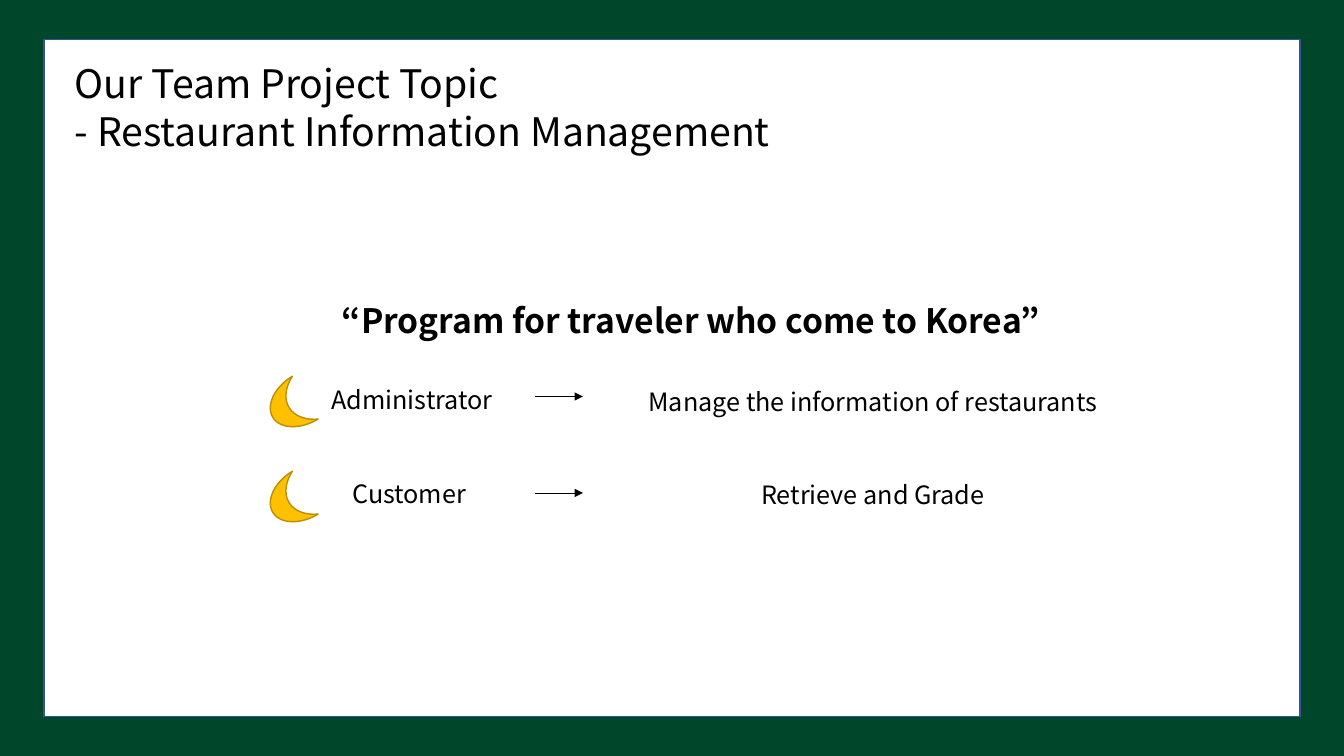
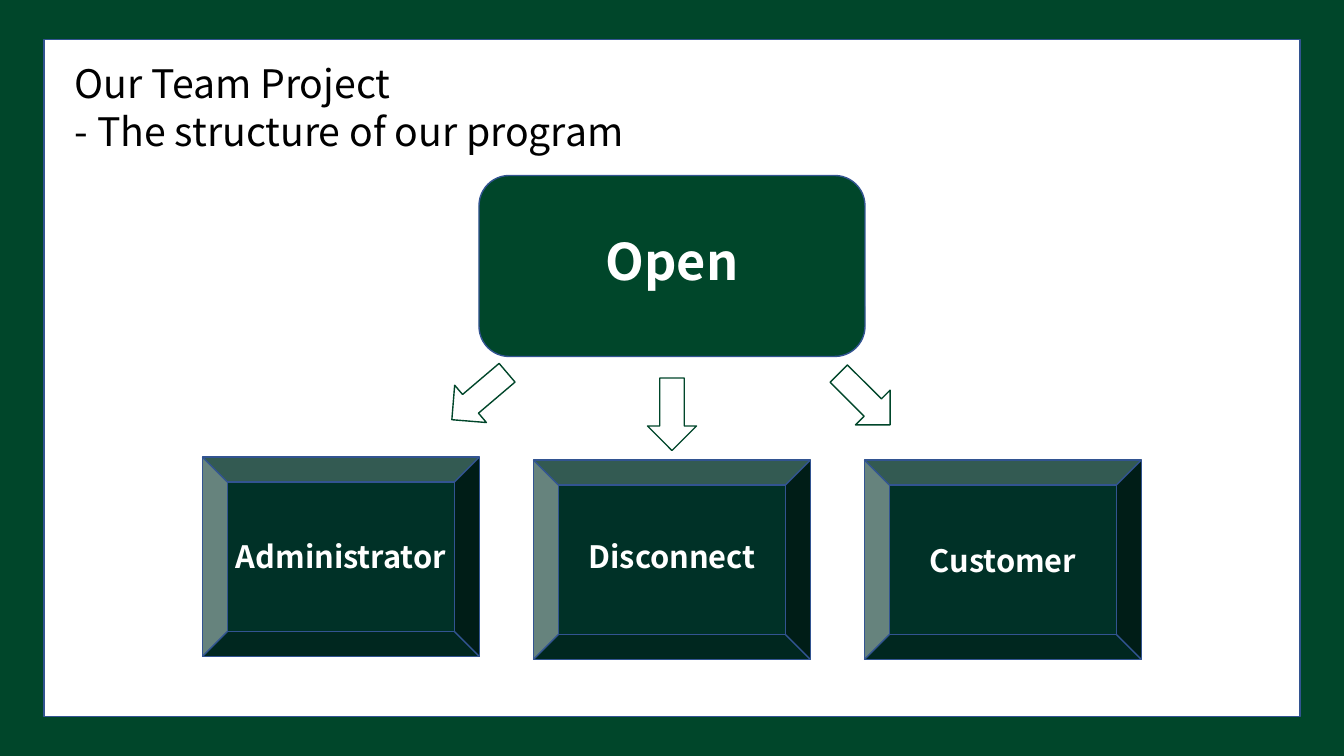
from lxml.etree import SubElement
from pptx import Presentation
from pptx.dml.color import RGBColor
from pptx.enum.shapes import MSO_CONNECTOR, MSO_SHAPE
from pptx.enum.text import PP_ALIGN
from pptx.oxml.ns import qn
from pptx.util import Emu, Pt

FONT = "Noto Sans CJK KR"
LINE_HEIGHT = 1.22
COLORS = {
    "green": "00462A",
    "dark_green": "003127",
    "outline": "325491",
    "white": "FFFFFF",
    "black": "000000",
    "yellow": "FFC000",
    "ochre": "BD8E00",
}


def px(pixels):
    """Turn slide pixels (100.8 to the inch) into EMU."""
    return Emu(round(pixels * 914400 / 100.8))


def rgb(name):
    """Look up a named colour."""
    return RGBColor.from_string(COLORS[name])


def add_block(slide, kind, box, fill, outline, rotation=0):
    """Add an outlined preset shape; a fill of None leaves it hollow."""
    block = slide.shapes.add_shape(kind, *map(px, box))
    block.shadow.inherit = False
    block.rotation = rotation
    if fill:
        block.fill.solid()
        block.fill.fore_color.rgb = rgb(fill)
    else:
        block.fill.background()
    block.line.color.rgb = rgb(outline)
    block.line.width = Pt(1)


def add_label(slide, lines, box, size, color="black", bold=False,
              align=PP_ALIGN.CENTER):
    """Add a text box with one paragraph for each line."""
    frame = slide.shapes.add_textbox(*map(px, box)).text_frame
    frame.word_wrap = True
    frame.text = "\n".join(lines)
    for paragraph in frame.paragraphs:
        paragraph.alignment = align
        paragraph.line_spacing = Pt(round(size * LINE_HEIGHT, 1))
        paragraph.font.name = FONT
        paragraph.font.size = Pt(size)
        paragraph.font.bold = bold
        paragraph.font.color.rgb = rgb(color)


def add_arrow(slide, left, right, y):
    """Add a thin horizontal arrow pointing right."""
    arrow = slide.shapes.add_connector(
        MSO_CONNECTOR.STRAIGHT, px(left), px(y), px(right), px(y))
    arrow.line.color.rgb = rgb("black")
    arrow.line.width = Pt(0.5)
    SubElement(arrow.line._get_or_add_ln(), qn("a:tailEnd"), type="triangle")
    SubElement(arrow._element.spPr, qn("a:effectLst"))


def add_framed_slide(deck, title_lines):
    """Add a green slide with the white panel and the title."""
    slide = deck.slides.add_slide(deck.slide_layouts[6])
    slide.background.fill.solid()
    slide.background.fill.fore_color.rgb = rgb("green")
    add_block(slide, MSO_SHAPE.RECTANGLE, (44, 39.5, 1256, 677),
              "white", "outline")
    add_label(slide, title_lines, (65, 54, 1186, 105), 28,
              align=PP_ALIGN.LEFT)
    return slide


def build_topic(deck):
    """Show the two user roles and what each one does."""
    slide = add_framed_slide(deck, ["Our Team Project Topic",
                                    "- Restaurant Information Management"])
    add_label(slide, ["“Program for traveler who come to Korea”"],
              (319, 294, 744, 92), 24, bold=True)
    roles = [
        ("Administrator", 379, 383, 396.5,
         "Manage the information of restaurants", 381),
        ("Customer ", 473, 478, 493, "Retrieve and Grade", 474),
    ]
    for role, role_top, moon_top, arrow_y, task, task_top in roles:
        add_block(slide, MSO_SHAPE.MOON, (270, moon_top - 0.5, 38, 50),
                  "yellow", "ochre", 328.9)
        add_label(slide, [role], (319, role_top, 186, 40), 18)
        add_arrow(slide, 535, 583, arrow_y)
        add_label(slide, [task], (615, task_top, 516, 40), 18)


def build_structure(deck):
    """Show how the program opens into three branches."""
    slide = add_framed_slide(deck, ["Our Team Project",
                                    "- The structure of our program"])
    add_block(slide, MSO_SHAPE.ROUNDED_RECTANGLE, (479, 175.5, 386, 181),
              "green", "outline")
    add_label(slide, ["Open"], (577, 224, 190, 72), 36, "white", True)
    for left, top, rotation in [(455, 360, 49.6), (840, 363, 314.9),
                                (647.5, 378, 0)]:
        add_block(slide, MSO_SHAPE.DOWN_ARROW, (left, top, 49, 72.5),
                  None, "green", rotation)
    branches = [("Administrator", 457, 532), ("Disconnect", 460, 532),
                ("Customer", 460, 536)]
    for column, (branch, top, label_top) in enumerate(branches):
        left = 202.5 + 331 * column
        add_block(slide, MSO_SHAPE.BEVEL, (left, top, 277, 199.5),
                  "dark_green", "outline")
        add_label(slide, [branch], (left + 22, label_top, 233, 48), 22,
                  "white", True)


def main():
    """Build and save the deck."""
    deck = Presentation()
    deck.slide_width, deck.slide_height = px(1344), px(756)
    build_topic(deck)
    build_structure(deck)
    deck.save("out.pptx")


main()
